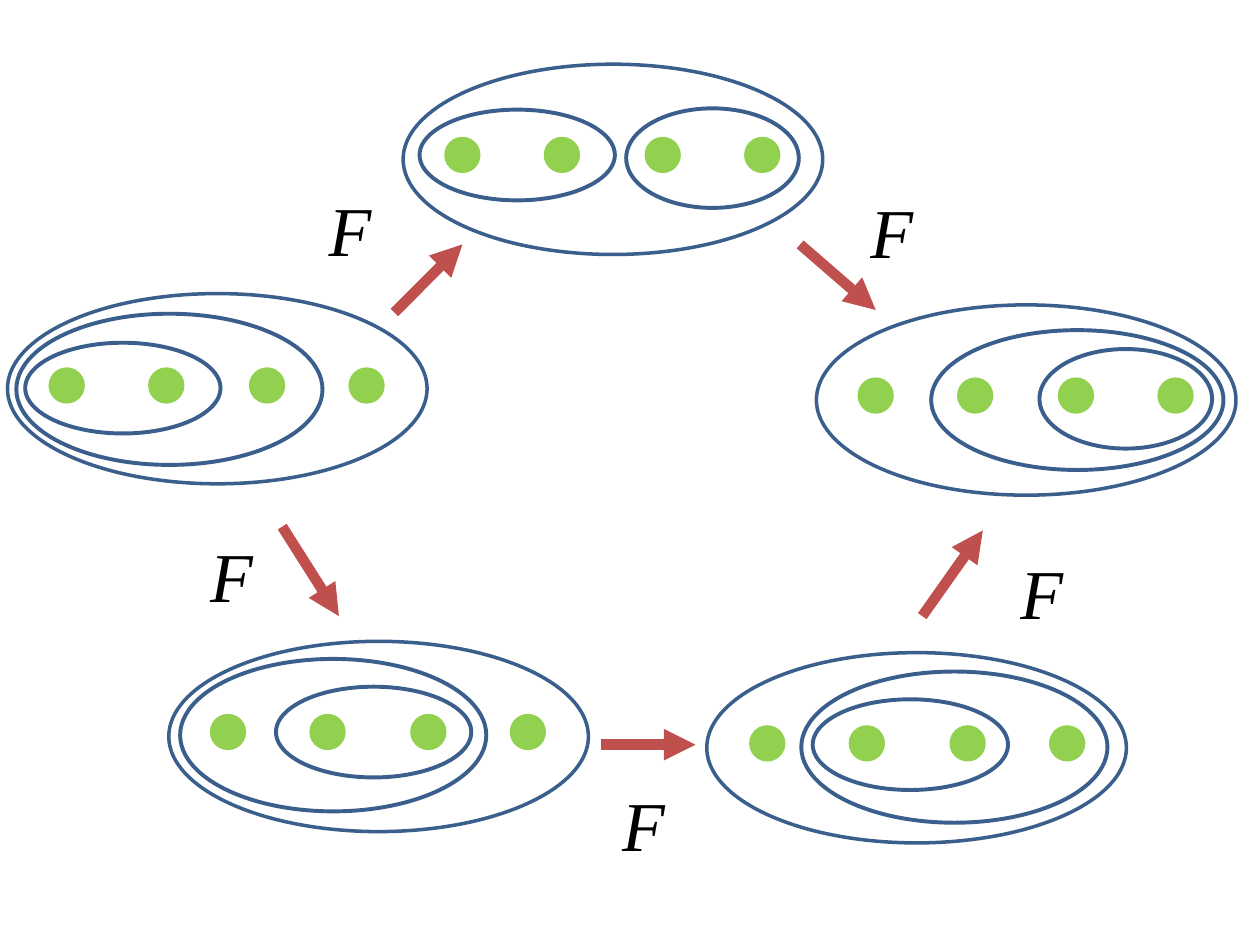
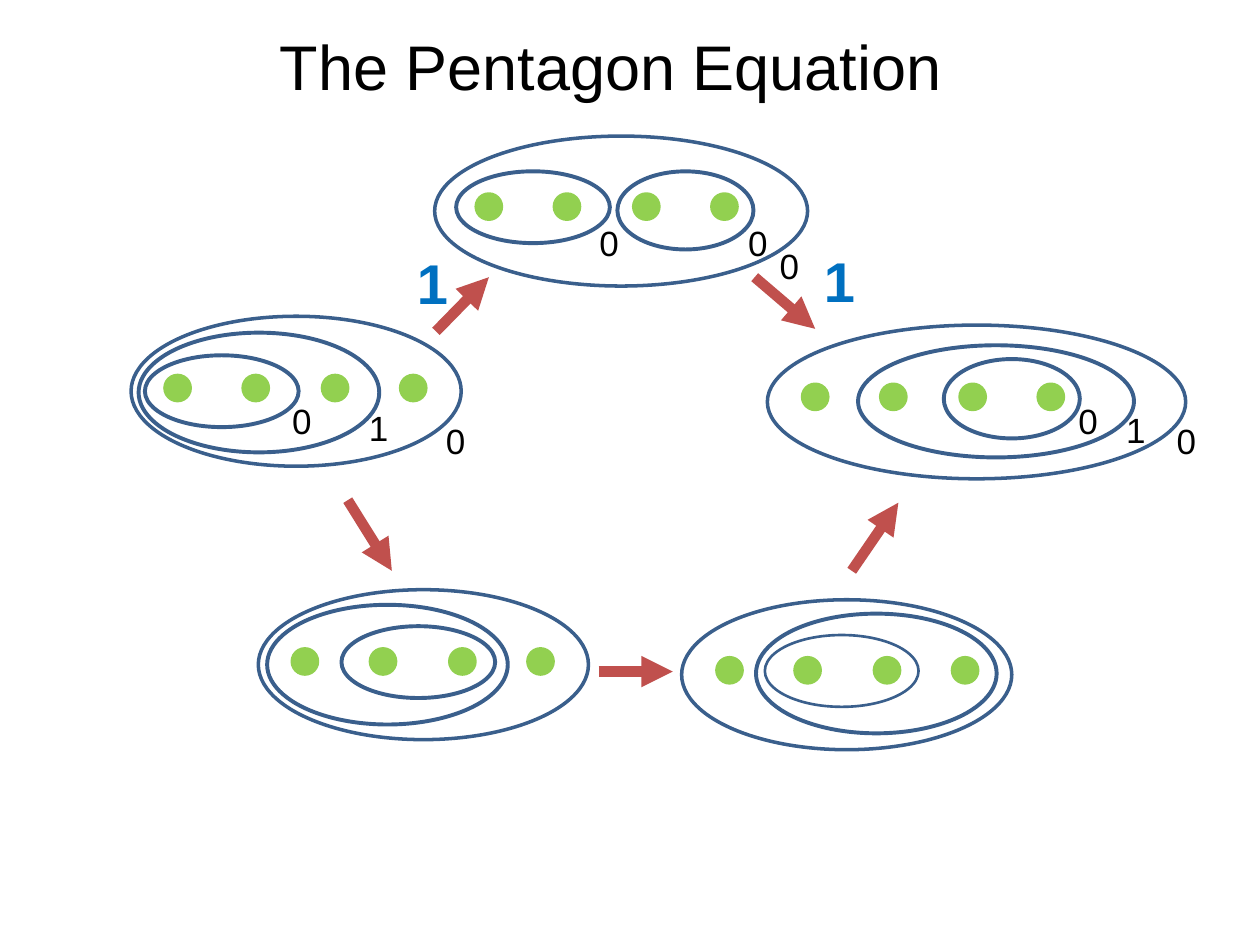
from lxml.etree import SubElement
from pptx import Presentation
from pptx.dml.color import RGBColor
from pptx.enum.shapes import MSO_CONNECTOR, MSO_SHAPE
from pptx.enum.text import MSO_ANCHOR, PP_ALIGN, MSO_AUTO_SIZE
from pptx.oxml.ns import qn
from pptx.util import Pt

PX = 9144
NAVY, GREEN, RED, BLUE, BLACK = "3A5F8C", "92D050", "C0504D", "0070C0", "000000"


def paint(fill, colour):
    fill.solid()
    fill.fore_color.rgb = RGBColor.from_string(colour)


def write(box, text, size=20, font="Arial", colour=BLACK, bold=False, italic=False):
    frame = box.text_frame
    frame.word_wrap = False
    frame.auto_size = MSO_AUTO_SIZE.SHAPE_TO_FIT_TEXT
    frame.vertical_anchor = MSO_ANCHOR.TOP
    para = frame.paragraphs[0]
    para.alignment = PP_ALIGN.LEFT
    span = para.add_run()
    span.text = text
    span.font.size = Pt(size)
    span.font.name = font
    span.font.bold = bold
    span.font.italic = italic
    paint(span.font.fill, colour)


deck = Presentation()
deck.slide_width, deck.slide_height = 1000 * PX, 750 * PX
moves_page = deck.slides.add_slide(deck.slide_layouts[6])
equation_page = deck.slides.add_slide(deck.slide_layouts[5])

title = equation_page.shapes.title
title.left, title.top, title.width, title.height = [v * PX for v in (212, 17, 550, 71)]
write(title, "The Pentagon Equation", size=36)

# Each tree: first dot, then its two inner ovals and its outer oval
moves_trees = [
    ((40, 293), [(20, 272, 155, 72), (13, 249, 243, 120), (6, 233, 333, 151)]),
    ((354, 110), [(333, 87, 155, 72), (497, 86, 137, 79), (320, 51, 333, 151)]),
    ((682, 301), [(825, 277, 137, 79), (739, 262, 232, 111), (648, 242, 333, 151)]),
    ((168, 568), [(219, 545, 155, 72), (143, 523, 243, 121), (134, 509, 333, 151)]),
    ((596, 577), [(645, 555, 155, 72), (636, 533, 243, 120), (561, 518, 333, 151)]),
]
equation_trees = [
    ((131, 298), [(115, 282, 122, 57), (110, 264, 191, 95), (104, 251, 262, 119)]),
    ((378, 154), [(362, 136, 122, 57), (490, 136, 108, 62), (345, 108, 296, 119)]),
    ((637, 305), [(749, 285, 108, 63), (681, 274, 219, 89), (609, 258, 332, 122)]),
    ((232, 515), [(271, 497, 122, 57), (212, 480, 191, 95), (205, 468, 262, 119)]),
    ((569, 522), [(607, 504, 122, 57), (600, 487, 191, 95), (541, 476, 262, 119)]),
]
moves_arrows = [(313, 248, 367, 194), (635, 194, 695, 246), (224, 418, 269, 489),
                (477, 591, 552, 591), (732, 489, 780, 421)]
equation_arrows = [(346, 263, 388, 220), (599, 220, 647, 261), (276, 397, 311, 453),
                   (475, 533, 534, 533), (676, 453, 713, 399)]

for page, trees, arrows, dot_size, dot_step in (
    (moves_page, moves_trees, moves_arrows, 26, 79.4),
    (equation_page, equation_trees, equation_arrows, 20, 62.4),
):
    for (dot_left, dot_top), ovals in trees:
        for column in range(4):
            left = dot_left + round(column * dot_step)
            dot = page.shapes.add_shape(
                MSO_SHAPE.OVAL, left * PX, dot_top * PX, dot_size * PX, dot_size * PX)
            dot.shadow.inherit = False
            paint(dot.fill, GREEN)
            paint(dot.line.fill, GREEN)
            dot.line.width = Pt(2)
        thin = page == equation_page and ovals == equation_trees[-1][1]
        weights = (1.5 if thin else 2.25, 2.25, 2)
        for bounds, weight in zip(ovals, weights):
            oval = page.shapes.add_shape(MSO_SHAPE.OVAL, *[v * PX for v in bounds])
            oval.shadow.inherit = False
            oval.fill.background()
            paint(oval.line.fill, NAVY)
            oval.line.width = Pt(weight)
    for ends in arrows:
        arrow = page.shapes.add_connector(MSO_CONNECTOR.STRAIGHT, *[v * PX for v in ends])
        paint(arrow.line.fill, RED)
        arrow.line.width = Pt(6)
        SubElement(arrow.line._get_or_add_ln(), qn("a:tailEnd"), type="triangle")
        SubElement(arrow._element.spPr, qn("a:effectLst"))

for left, top in ((251, 143), (681, 145), (157, 418), (484, 615), (800, 431)):
    box = moves_page.shapes.add_textbox(left * PX, top * PX, 54 * PX, 77 * PX)
    write(box, "F", size=40, font="Times New Roman", italic=True)

for charge, left, top in (
    ("0", 222, 312), ("1", 283, 318), ("0", 344, 328),
    ("0", 466, 171), ("0", 584, 171), ("0", 609, 189),
    ("0", 846, 312), ("1", 884, 319), ("0", 924, 328),
):
    box = equation_page.shapes.add_textbox(left * PX, top * PX, 36 * PX, 44 * PX)
    write(box, charge)

for left, top in ((321, 192), (644, 191)):
    box = equation_page.shapes.add_textbox(left * PX, top * PX, 45 * PX, 64 * PX)
    write(box, "1", size=32, colour=BLUE, bold=True)

deck.save("out.pptx")
